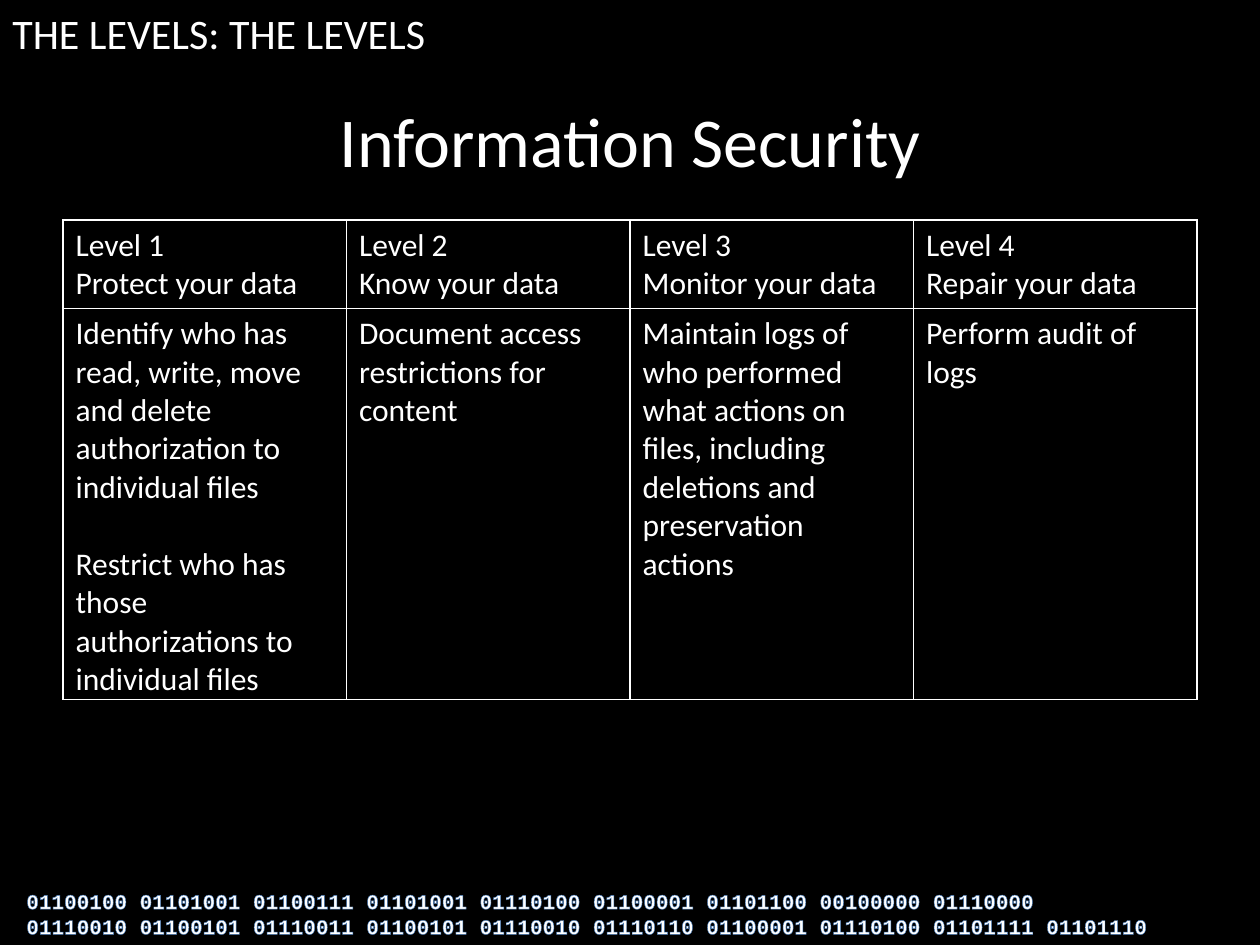
from lxml.etree import SubElement
from pptx import Presentation
from pptx.dml.color import RGBColor
from pptx.enum.text import MSO_ANCHOR, PP_ALIGN
from pptx.oxml.ns import qn
from pptx.util import Emu, Pt

PX_PER_INCH = 126
COLORS = {"background": "000000", "text": "FFFFFF", "outline": "467AB8"}

LEVELS = [
    ("Level 1\nProtect your data",
     "Identify who has read, write, move and delete authorization to individual files\n"
     "Restrict who has those authorizations to individual files"),
    ("Level 2\nKnow your data", "Document access restrictions for content"),
    ("Level 3\nMonitor your data",
     "Maintain logs of who performed what actions on files, "
     "including deletions and preservation actions"),
    ("Level 4\nRepair your data", "Perform audit of logs"),
]
BINARY = (
    "01100100 01101001 01100111 01101001 01110100 01100001 01101100 00100000 01110000\n"
    "01110010 01100101 01110011 01100101 01110010 01110110 01100001 01110100 01101111 01101110"
)


def px(length):
    return Emu(round(length * 914400 / PX_PER_INCH))


def color(name):
    return RGBColor.from_string(COLORS[name])


def write(frame, text, size, font="Calibri", bold=False):
    frame.text = text
    for para in frame.paragraphs:
        for span in para.runs:
            span.font.size = Pt(size)
            span.font.name = font
            span.font.bold = bold
            span.font.color.rgb = color("text")


def add_line(parent, tag, name, width, index):
    """Put a solid line into the properties of a cell or a run."""
    line = SubElement(parent, qn(tag), w=str(Pt(width)))
    fill = SubElement(line, qn("a:solidFill"))
    SubElement(fill, qn("a:srgbClr"), val=COLORS[name])
    parent.insert(index, line)


def add_text(page, box, text, size, **style):
    frame = page.shapes.add_textbox(*map(px, box)).text_frame
    frame.word_wrap = True
    write(frame, text, size, **style)
    return frame


def add_title(page, box):
    frame = add_text(page, box, "Information Security", 40)
    frame.vertical_anchor = MSO_ANCHOR.MIDDLE
    frame.paragraphs[0].alignment = PP_ALIGN.CENTER


def add_levels(page, box, header_height):
    table = page.shapes.add_table(2, len(LEVELS), *map(px, box)).table
    table.first_row = table.horz_banding = False
    table.rows[0].height = px(header_height)
    table.rows[1].height = px(box[3] - header_height)
    for column, texts in enumerate(LEVELS):
        for row, text in enumerate(texts):
            cell = table.cell(row, column)
            write(cell.text_frame, text, 18)
            cell.fill.solid()
            cell.fill.fore_color.rgb = color("background")
            for index, side in enumerate("LRTB"):
                add_line(cell._tc.get_or_add_tcPr(), f"a:ln{side}", "text", 1, index)
    # One line of space between the two tasks of level 1
    table.cell(1, 0).text_frame.paragraphs[1].space_before = Pt(22)


def add_binary(page, box):
    frame = add_text(page, box, BINARY, 12, font="Courier New", bold=True)
    for para in frame.paragraphs:
        for span in para.runs:
            add_line(span.font._element, "a:ln", "outline", 0.83, 0)


def main():
    deck = Presentation()
    deck.slide_width, deck.slide_height = px(1260), px(945)
    page = deck.slides.add_slide(deck.slide_layouts[6])
    page.background.fill.solid()
    page.background.fill.fore_color.rgb = color("background")

    # Section heading, title, table and footer
    add_text(page, (0, 1, 1260, 63), "THE LEVELS: THE LEVELS", 24)
    add_title(page, (63, 84, 1134, 111))
    add_levels(page, (63, 220, 1134, 479), header_height=88)
    add_binary(page, (14, 882, 1246, 63))
    deck.save("out.pptx")


if __name__ == "__main__":
    main()
